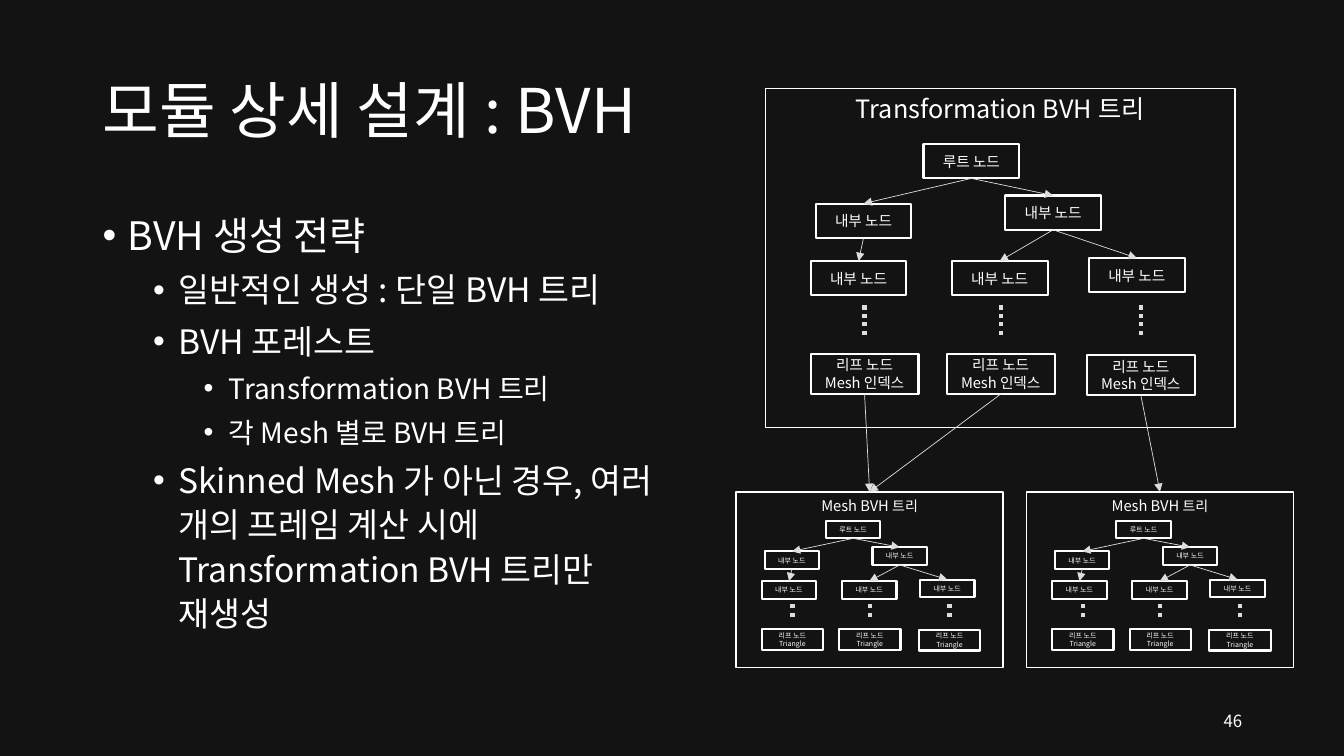
"""Build the BVH module design slide with its tree diagrams."""
from dataclasses import dataclass
from typing import Optional

import lxml.etree
import pptx
import pptx.dml.color
import pptx.enum.shapes
import pptx.enum.text
import pptx.oxml.ns
import pptx.slide
import pptx.text.text
import pptx.util

Inches = pptx.util.Inches
Pt = pptx.util.Pt
qn = pptx.oxml.ns.qn
ALIGN = pptx.enum.text.PP_ALIGN
ANCHOR = pptx.enum.text.MSO_ANCHOR


@dataclass(frozen=True)
class Theme:
    font: str = "Noto Sans CJK KR"
    bg: str = "131313"
    ink: str = "FFFFFF"
    link: str = "DDDDDD"
    title: float = 44
    levels: tuple[float, ...] = (28, 24, 20)
    page: float = 12
    panel_line: float = 1
    node_line: float = 1.5
    link_line: float = 0.5
    dots_line: float = 3


@dataclass(frozen=True)
class Box:
    x: float
    y: float
    w: float
    h: float

    @property
    def top(self) -> tuple[float, float]:
        return self.x + self.w / 2, self.y

    @property
    def bottom(self) -> tuple[float, float]:
        return self.x + self.w / 2, self.y + self.h


@dataclass(frozen=True)
class Run:
    text: str
    size: float


@dataclass(frozen=True)
class Node:
    label: str
    x: float
    y: float
    parent: Optional[int] = None


@dataclass(frozen=True)
class Tree:
    box: Box
    title: tuple[Run, ...]
    size: float
    leaf: str


@dataclass(frozen=True)
class Bullet:
    text: str
    level: int


THEME = Theme()
BASE = Box(0, 0, 4.66, 3.36)
NODE_W, NODE_H = 0.95, 0.34
LEAF_W, LEAF_H = 1.07, 0.4
DOTS_TOP, DOTS_BOTTOM = 2.15, 2.47
NODES = (
    Node("루트 노드", 1.57, 0.55),
    Node("내부 노드", 0.5, 1.14, 0),
    Node("내부 노드", 2.38, 1.06, 0),
    Node("내부 노드", 0.45, 1.71, 1),
    Node("내부 노드", 1.85, 1.71, 2),
    Node("내부 노드", 3.21, 1.68, 2),
)
LEAVES = ((0.45, 2.63), (1.8, 2.63), (3.19, 2.64))
MESH_TITLE = (Run("Mesh BVH ", 10.5), Run("트리", 10))
MESH_TREES = tuple(
    Tree(Box(x, 4.88, 2.65, 1.74), MESH_TITLE, 5, "Triangle") for x in (7.3, 10.18)
)
TOP_TREE = Tree(
    Box(7.59, 0.88, 4.66, 3.36), (Run("Transformation BVH 트리", 18),), 10.5, "Mesh 인덱스"
)
LEAF_TARGETS = (0, 0, 1)
BULLETS = (
    Bullet("BVH 생성 전략", 0),
    Bullet("일반적인 생성 : 단일 BVH 트리", 1),
    Bullet("BVH 포레스트", 1),
    Bullet("Transformation BVH 트리", 2),
    Bullet("각 Mesh 별로 BVH 트리", 2),
    Bullet("Skinned Mesh 가 아닌 경우, 여러 개의 프레임 계산 시에Transformation BVH 트리만 재생성", 1),
)


def rgb(value: str) -> pptx.dml.color.RGBColor:
    return pptx.dml.color.RGBColor.from_string(value)


def inches(box: Box) -> list[pptx.util.Length]:
    return [Inches(v) for v in (box.x, box.y, box.w, box.h)]


def add_run(p: pptx.text.text._Paragraph, run: Run) -> None:
    r = p.add_run()
    r.text = run.text
    r.font.size = Pt(run.size)
    r.font.color.rgb = rgb(THEME.ink)
    r.font.name = THEME.font
    lxml.etree.SubElement(r.font._element, qn("a:ea"), typeface=THEME.font)


def add_text(s: pptx.slide.Slide, box: Box, anchor: ANCHOR) -> pptx.text.text.TextFrame:
    tf = s.shapes.add_textbox(*inches(box)).text_frame
    tf.word_wrap = True
    tf.vertical_anchor = anchor
    return tf


def add_box(s: pptx.slide.Slide, box: Box, lines: list[tuple[Run, ...]],
            width: float, anchor: ANCHOR) -> None:
    sp = s.shapes.add_shape(pptx.enum.shapes.MSO_SHAPE.RECTANGLE, *inches(box))
    sp.shadow.inherit = False
    sp.fill.background()
    sp.line.color.rgb = rgb(THEME.ink)
    sp.line.width = Pt(width)
    tf = sp.text_frame
    tf.word_wrap = True
    tf.vertical_anchor = anchor
    if anchor == ANCHOR.MIDDLE:
        tf.margin_left = tf.margin_right = tf.margin_top = tf.margin_bottom = 0
    for i, runs in enumerate(lines):
        p = tf.add_paragraph() if i else tf.paragraphs[0]
        p.alignment = ALIGN.CENTER
        for run in runs:
            add_run(p, run)


def add_link(s: pptx.slide.Slide, start: tuple[float, float], end: tuple[float, float],
             dotted: bool = False) -> None:
    kind = pptx.enum.shapes.MSO_CONNECTOR.STRAIGHT
    c = s.shapes.add_connector(kind, *[Inches(v) for v in (*start, *end)])
    c.line.color.rgb = rgb(THEME.link)
    c.line.width = Pt(THEME.dots_line if dotted else THEME.link_line)
    tag, value = ("a:prstDash", {"val": "sysDot"}) if dotted else ("a:tailEnd", {"type": "triangle"})
    lxml.etree.SubElement(c.line._get_or_add_ln(), qn(tag), value)
    lxml.etree.SubElement(c._element.spPr, qn("a:effectLst"))


def add_tree(s: pptx.slide.Slide, tree: Tree) -> list[Box]:
    kx, ky = tree.box.w / BASE.w, tree.box.h / BASE.h

    def place(x: float, y: float, w: float, h: float) -> Box:
        return Box(tree.box.x + x * kx, tree.box.y + y * ky, w * kx, h * ky)

    add_box(s, tree.box, [tree.title], THEME.panel_line, ANCHOR.TOP)
    nodes = [place(n.x, n.y, NODE_W, NODE_H) for n in NODES]
    leaves = [place(x, y, LEAF_W, LEAF_H) for x, y in LEAVES]
    for node, box in zip(NODES, nodes):
        add_box(s, box, [(Run(node.label, tree.size),)], THEME.node_line, ANCHOR.MIDDLE)
        if node.parent is not None:
            add_link(s, nodes[node.parent].bottom, box.top)
    for box in leaves:
        lines = [(Run(text, tree.size),) for text in ("리프 노드", tree.leaf)]
        add_box(s, box, lines, THEME.node_line, ANCHOR.MIDDLE)
        x = box.top[0]
        add_link(s, (x, tree.box.y + DOTS_TOP * ky), (x, tree.box.y + DOTS_BOTTOM * ky), True)
    return leaves


def add_bullets(s: pptx.slide.Slide) -> None:
    tf = add_text(s, Box(0.92, 2, 5.92, 4.76), ANCHOR.TOP)
    for i, item in enumerate(BULLETS):
        p = tf.add_paragraph() if i else tf.paragraphs[0]
        p.level = item.level
        p.line_spacing = 1.1
        p.space_before = Pt(5 if i else 0)
        pPr = p._p.get_or_add_pPr()
        pPr.set("marL", str(Inches(0.25 + 0.5 * item.level)))
        pPr.set("indent", str(Inches(-0.25)))
        lxml.etree.SubElement(pPr, qn("a:buFont"), typeface="Arial")
        lxml.etree.SubElement(pPr, qn("a:buChar"), char="•")
        add_run(p, Run(item.text, THEME.levels[item.level]))


def main() -> None:
    prs = pptx.Presentation()
    prs.slide_width, prs.slide_height = Inches(13.33), Inches(7.5)
    s = prs.slides.add_slide(prs.slide_layouts[6])
    s.background.fill.solid()
    s.background.fill.fore_color.rgb = rgb(THEME.bg)
    p = add_text(s, Box(0.92, 0.4, 11.5, 1.45), ANCHOR.MIDDLE).paragraphs[0]
    p.line_spacing = 0.9
    add_run(p, Run("모듈 상세 설계 : BVH", THEME.title))
    add_bullets(s)
    for tree in MESH_TREES:
        add_tree(s, tree)
    for leaf, target in zip(add_tree(s, TOP_TREE), LEAF_TARGETS):
        add_link(s, leaf.bottom, MESH_TREES[target].box.top)
    p = add_text(s, Box(9.42, 6.95, 3, 0.4), ANCHOR.MIDDLE).paragraphs[0]
    p.alignment = ALIGN.RIGHT
    add_run(p, Run("46", THEME.page))
    prs.save("out.pptx")


if __name__ == "__main__":
    main()
